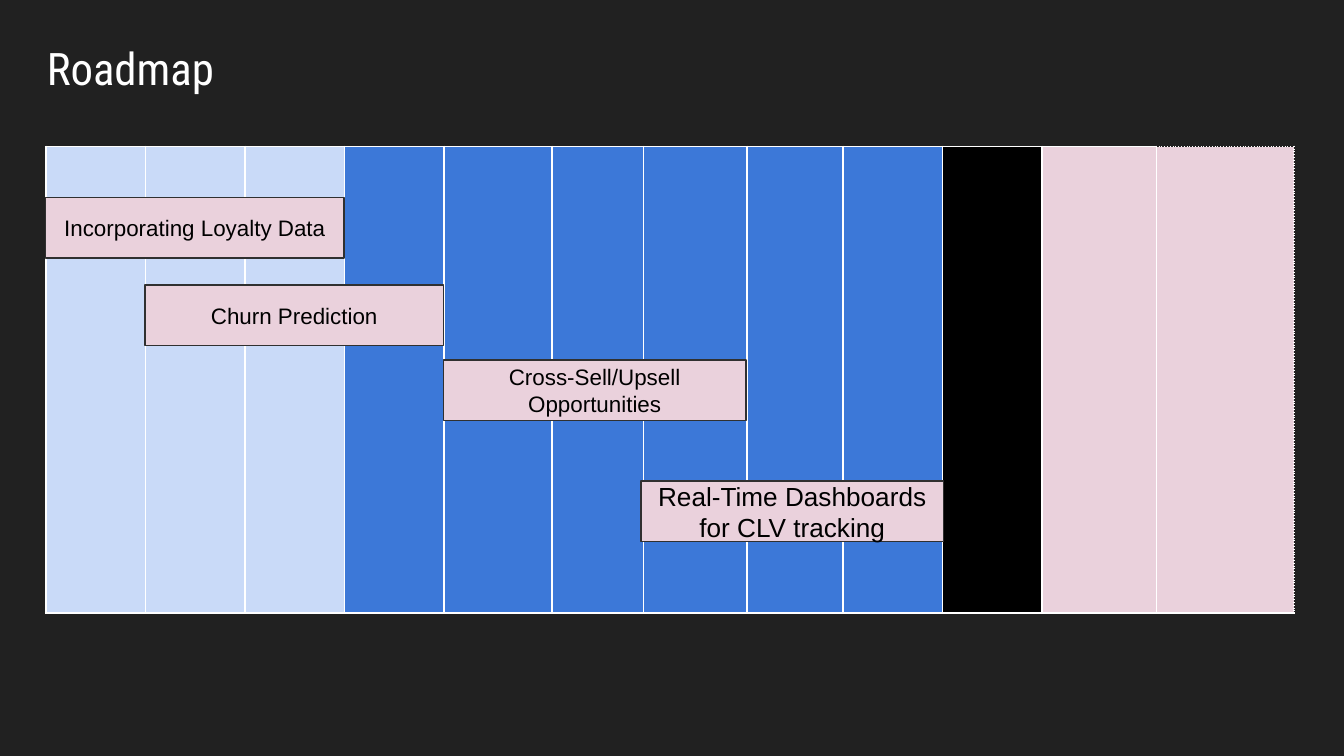
from dataclasses import dataclass

import pptx
import pptx.dml.color
import pptx.enum.shapes
import pptx.enum.text
import pptx.oxml
import pptx.oxml.ns
import pptx.util
from pptx.util import Inches

COLORS = {
    "background": "212121",
    "white": "FFFFFF",
    "black": "000000",
    "light_blue": "C9DAF8",
    "blue": "3C78D8",
    "pink": "EAD1DC",
    "outline": "303030",
}


@dataclass
class Column:
    width: float  # relative, scaled to the table width
    color: str
    outer_dash: str = "solid"  # dash of the top and right borders


@dataclass
class Task:
    text: str
    left: float
    top: float
    width: float
    size: int = 12


COLUMNS = [
    *[Column(0.74, "light_blue") for _ in range(3)],
    *[Column(w, "blue") for w in (0.74, 0.8, 0.68, 0.77, 0.71, 0.74)],
    Column(0.74, "black"),
    Column(0.85, "pink"),
    Column(1.02, "pink", "dot"),
]
ROWS = [0.66] * 4 + [0.83]
TABLE_LEFT, TABLE_TOP, TABLE_WIDTH = 0.34, 1.09, 9.29
TASK_HEIGHT = 0.45

TASKS = [
    Task("Incorporating Loyalty Data", 0.34, 1.47, 2.22),
    Task("Churn Prediction", 1.08, 2.12, 2.22),
    Task("Cross-Sell/Upsell Opportunities", 3.3, 2.68, 2.25),
    Task("Real-Time Dashboards\nfor CLV tracking", 4.77, 3.58, 2.25, 14),
]


def rgb(name: str) -> pptx.dml.color.RGBColor:
    return pptx.dml.color.RGBColor.from_string(COLORS[name])


def write(sp, text: str, font: str, size: int, color: str) -> None:
    tf = sp.text_frame
    tf.word_wrap = True
    tf.margin_left = tf.margin_right = Inches(0.1)
    tf.margin_top = tf.margin_bottom = Inches(0.1)
    p = tf.paragraphs[0]
    p.text = text
    for r in p.runs:
        r.font.name = font
        r.font.size = pptx.util.Pt(size)
        r.font.color.rgb = rgb(color)


def style_cell(cell, column: Column) -> None:
    tcPr = cell._tc.get_or_add_tcPr()
    for side in "LRTB":
        dash = column.outer_dash if side in "RT" else "solid"
        tcPr.append(pptx.oxml.parse_xml(
            f'<a:ln{side} {pptx.oxml.ns.nsdecls("a")} w="{pptx.util.Pt(1)}">'
            f'<a:solidFill><a:srgbClr val="{COLORS["white"]}"/></a:solidFill>'
            f'<a:prstDash val="{dash}"/></a:ln{side}>'))
    cell.fill.solid()
    cell.fill.fore_color.rgb = rgb(column.color)


def add_timeline(s) -> None:
    table = s.shapes.add_table(
        len(ROWS), len(COLUMNS), Inches(TABLE_LEFT), Inches(TABLE_TOP),
        Inches(TABLE_WIDTH), Inches(sum(ROWS))).table
    table.first_row = table.horz_banding = False
    for row, height in zip(table.rows, ROWS):
        row.height = Inches(height)
    scale = TABLE_WIDTH / sum(c.width for c in COLUMNS)
    for i, column in enumerate(COLUMNS):
        table.columns[i].width = Inches(column.width * scale)
        for j in range(len(ROWS)):
            style_cell(table.cell(j, i), column)
        table.cell(0, i).merge(table.cell(len(ROWS) - 1, i))


def add_task(s, task: Task) -> None:
    sp = s.shapes.add_shape(
        pptx.enum.shapes.MSO_SHAPE.RECTANGLE, Inches(task.left),
        Inches(task.top), Inches(task.width), Inches(TASK_HEIGHT))
    sp.shadow.inherit = False
    sp.fill.solid()
    sp.fill.fore_color.rgb = rgb("pink")
    sp.line.color.rgb = rgb("outline")
    sp.line.width = pptx.util.Pt(0.75)
    write(sp, task.text, "Arial", task.size, "black")
    sp.text_frame.vertical_anchor = pptx.enum.text.MSO_ANCHOR.MIDDLE
    sp.text_frame.paragraphs[0].alignment = pptx.enum.text.PP_ALIGN.CENTER


def main() -> None:
    prs = pptx.Presentation()
    prs.slide_width = Inches(10)
    prs.slide_height = Inches(10 * 9 / 16)
    s = prs.slides.add_slide(prs.slide_layouts[6])
    s.background.fill.solid()
    s.background.fill.fore_color.rgb = rgb("background")

    # Title
    title = s.shapes.add_textbox(
        Inches(0.25), Inches(0.2), Inches(8.42), Inches(0.62))
    write(title, "Roadmap", "Roboto Condensed", 24, "white")

    # Timeline columns with the task bars on top
    add_timeline(s)
    for task in TASKS:
        add_task(s, task)

    prs.save("out.pptx")


if __name__ == "__main__":
    main()
